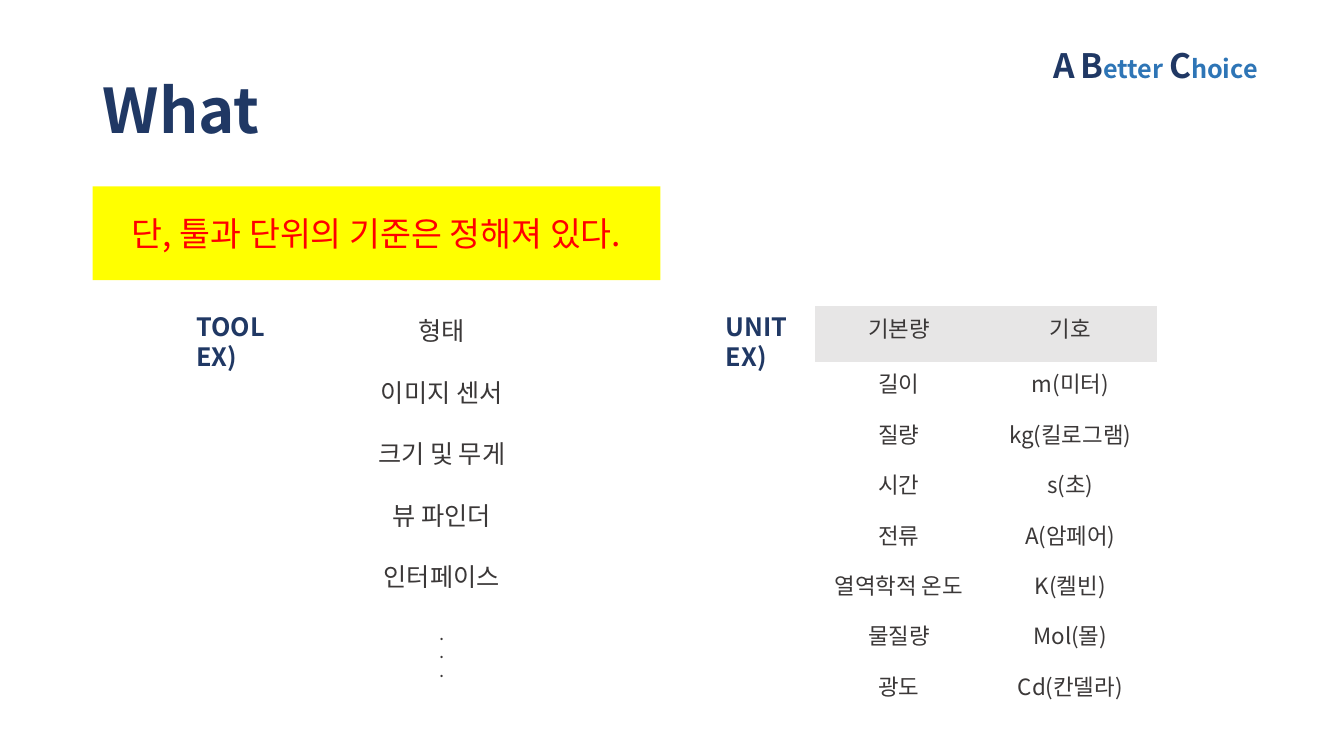
import pptx
import pptx.util
import pptx.dml.color
import pptx.enum.shapes
import pptx.enum.text
import pptx.oxml.ns
import lxml.etree

Inches = pptx.util.Inches
RGBColor = pptx.dml.color.RGBColor
Align = pptx.enum.text.PP_ALIGN
Anchor = pptx.enum.text.MSO_ANCHOR

NAVY = RGBColor(0x20, 0x38, 0x64)
BLUE = RGBColor(0x2E, 0x75, 0xB6)
RED = RGBColor(0xFF, 0x00, 0x00)
YELLOW = RGBColor(0xFF, 0xFF, 0x00)
CHARCOAL = RGBColor(0x3B, 0x38, 0x38)
GREY = RGBColor(0xE7, 0xE6, 0xE6)
PLAIN_TABLE = "{2D5ABB26-0587-4C30-8999-92F81FD0307C}"


class SlideBuilder:
    """Holds the font and current slide and adds styled elements to it."""

    def __init__(self, page, font):
        self.page = page
        self.font = font

    def add_spans(self, para, spans, align=Align.LEFT):
        para.alignment = align
        for text, size, color, bold in spans:
            span = para.add_run()
            span.text = text
            values = {"name": self.font, "size": pptx.util.Pt(size), "bold": bold}
            for key, value in values.items():
                setattr(span.font, key, value)
            span.font.color.rgb = color
            east = lxml.etree.SubElement(span.font._element, pptx.oxml.ns.qn("a:ea"))
            east.set("typeface", self.font)

    def text(self, place, spans, align=Align.LEFT, anchor=Anchor.TOP, spacing=1.0):
        box = self.page.shapes.add_textbox(*map(Inches, place))
        values = {"word_wrap": True, "vertical_anchor": anchor}
        for key, value in values.items():
            setattr(box.text_frame, key, value)
        para = box.text_frame.paragraphs[0]
        para.line_spacing = spacing
        self.add_spans(para, spans, align)

    def banner(self, place, spans):
        box = self.page.shapes.add_shape(
            pptx.enum.shapes.MSO_SHAPE.RECTANGLE, *map(Inches, place))
        box.shadow.inherit = False
        box.fill.solid()
        box.fill.fore_color.rgb = YELLOW
        box.line.fill.background()
        box.text_frame.word_wrap = True
        box.text_frame.vertical_anchor = Anchor.MIDDLE
        self.add_spans(box.text_frame.paragraphs[0], spans, Align.CENTER)

    def table(self, place, widths, heights, rows, size, header=None):
        frame = self.page.shapes.add_table(len(rows), len(widths), *map(Inches, place))
        table = frame.table
        for key in ("first_row", "horz_banding"):
            setattr(table, key, False)
        style = pptx.oxml.ns.qn("a:tableStyleId")
        table._tbl.tblPr.find(style).text = PLAIN_TABLE
        for column, width in zip(table.columns, widths):
            column.width = Inches(width)
        for number, (row, height, texts) in enumerate(zip(table.rows, heights, rows)):
            row.height = Inches(height)
            for cell, text in zip(row.cells, texts):
                if header is not None and number == 0:
                    cell.fill.solid()
                    cell.fill.fore_color.rgb = header
                else:
                    cell.fill.background()
                self.fill_cell(cell, text, size)

    def fill_cell(self, cell, text, size):
        lines = text.split("\n")
        dots = len(lines) > 1
        for number, line in enumerate(lines):
            frame = cell.text_frame
            para = frame.add_paragraph() if number else frame.paragraphs[0]
            self.add_spans(para, [(line, 9 if dots else size, CHARCOAL, dots)], Align.CENTER)


def main():
    deck = pptx.Presentation()
    deck.slide_width = Inches(13.33)
    deck.slide_height = Inches(7.5)
    slide = SlideBuilder(deck.slides.add_slide(deck.slide_layouts[6]), "Noto Sans CJK KR")

    slide.text((0.92, 0.4, 5.75, 1.45), [("What", 44, NAVY, True)],
               anchor=Anchor.MIDDLE, spacing=0.9)
    slogan = [("A", 24, NAVY, True), (" ", 18, NAVY, True), ("B", 24, NAVY, True),
              ("etter ", 18, BLUE, True), ("C", 24, NAVY, True), ("hoice", 18, BLUE, True)]
    slide.text((10.1, 0.4, 2.72, 0.5), slogan, Align.CENTER)
    slide.banner((0.92, 1.85, 5.63, 0.93),
                 [("단, 툴과 단위의 기준은 정해져 있다.", 24, RED, False)])

    for left, label in ((1.85, "TOOL EX)"), (7.1, "UNIT EX)")):
        slide.text((left, 3.04, 0.98, 0.71), [(label, 18, NAVY, True)])

    tools = ["형태", "이미지 센서", "크기 및 무게", "뷰 파인더", "인터페이스", ".\n.\n."]
    slide.table((2.83, 3.04, 3.1, 4.06), [3.1], [0.61] * 4 + [0.68, 0.94],
                [[tool] for tool in tools], 18)

    units = [("기본량", "기호"), ("길이", "m(미터)"), ("질량", "kg(킬로그램)"),
             ("시간", "s(초)"), ("전류", "A(암페어)"), ("열역학적 온도", "K(켈빈)"),
             ("물질량", "Mol(몰)"), ("광도", "Cd(칸델라)")]
    slide.table((8.08, 3.04, 3.4, 4.06), [1.67, 1.73], [0.55] + [0.5] * 7,
                units, 16, GREY)

    deck.save("out.pptx")


if __name__ == "__main__":
    main()
